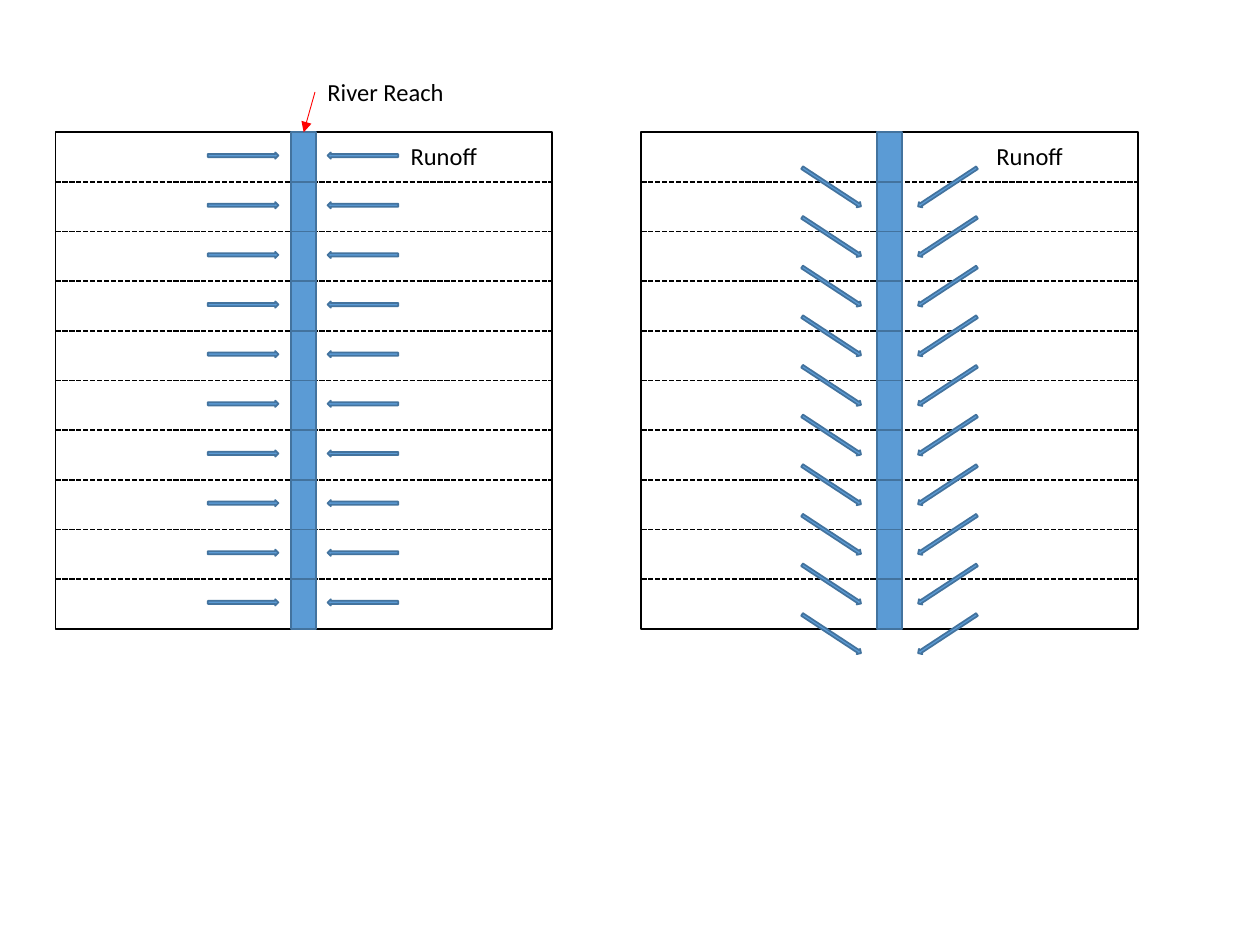
from dataclasses import dataclass

from lxml import etree
from pptx import Presentation
from pptx.dml.color import RGBColor
from pptx.enum.dml import MSO_LINE
from pptx.enum.shapes import MSO_CONNECTOR, MSO_SHAPE
from pptx.enum.text import MSO_AUTO_SIZE
from pptx.oxml.ns import qn
from pptx.util import Inches, Pt

RECT = MSO_SHAPE.RECTANGLE
ARROW = MSO_SHAPE.RIGHT_ARROW
STRAIGHT = MSO_CONNECTOR.STRAIGHT
DASH = MSO_LINE.SQUARE_DOT
FIT = MSO_AUTO_SIZE.SHAPE_TO_FIT_TEXT

BLACK = RGBColor(0x00, 0x00, 0x00)
BLUE = RGBColor(0x5B, 0x9B, 0xD5)
NAVY = RGBColor(0x43, 0x73, 0x9E)
RED = RGBColor(0xFF, 0x00, 0x00)

TOP = 1.05
SIDE = 3.94
ROWS = 10
STEP = SIDE / ROWS


@dataclass
class Basin:
    left: float
    west: float
    east: float
    drop: float
    tilt: float


BASINS = [
    Basin(left=0.44, west=1.65, east=2.6, drop=0.16, tilt=0),
    Basin(left=5.09, west=6.32, east=7.24, drop=0.41, tilt=33.3),
]

deck = Presentation()
deck.slide_width = Inches(10)
deck.slide_height = Inches(7.5)
slide = deck.slides.add_slide(deck.slide_layouts[6])
shapes = slide.shapes


def add_box(kind: int, left: float, top: float, width: float, height: float,
            edge: RGBColor, fill: RGBColor | None = None, turn: float = 0) -> None:
    box = shapes.add_shape(kind, Inches(left), Inches(top),
                           Inches(width), Inches(height))
    box.shadow.inherit = False
    box.rotation = turn
    box.line.color.rgb = edge
    box.line.width = Pt(1)
    if fill is None:
        box.fill.background()
    else:
        box.fill.solid()
        box.fill.fore_color.rgb = fill


def add_line(x1: float, y1: float, x2: float, y2: float, color: RGBColor,
             width: float, dash: int | None = None, head: bool = False) -> None:
    link = shapes.add_connector(STRAIGHT, Inches(x1), Inches(y1),
                                Inches(x2), Inches(y2))
    link.line.color.rgb = color
    link.line.width = Pt(width)
    if dash is not None:
        link.line.dash_style = dash
    if head:
        tip = etree.SubElement(link.line._get_or_add_ln(), qn("a:tailEnd"))
        tip.set("type", "triangle")
    etree.SubElement(link._element.spPr, qn("a:effectLst"))


def add_label(text: str, left: float, top: float, width: float,
              wrap: bool = True) -> None:
    frame = shapes.add_textbox(Inches(left), Inches(top),
                               Inches(width), Inches(0.34)).text_frame
    frame.word_wrap = wrap
    frame.auto_size = FIT
    frame.text = text
    font = frame.paragraphs[0].runs[0].font
    font.name = "Calibri"
    font.size = Pt(14)
    font.color.rgb = BLACK


def add_basin(basin: Basin) -> None:
    add_box(RECT, basin.left, TOP, SIDE, SIDE, BLACK)
    for row in range(1, ROWS):
        level = TOP + row * STEP
        add_line(basin.left, level, basin.left + SIDE, level, BLACK, 1, DASH)
    for row in range(ROWS):
        level = TOP + row * STEP
        add_box(RECT, basin.left + 1.87, level, 0.2, STEP, NAVY, BLUE)
        flows = [(basin.west, basin.tilt), (basin.east, 180 - basin.tilt)]
        for left, turn in flows:
            add_box(ARROW, left, level + basin.drop, 0.56, 0.05,
                    NAVY, BLUE, turn)
    add_label("Runoff", basin.left + 2.72, 1.07, 0.85)


for basin in BASINS:
    add_basin(basin)
add_label("River Reach", 2.5, 0.56, 1.13, wrap=False)
add_line(2.5, 0.73, 2.41, TOP, RED, 0.5, head=True)

deck.save("out.pptx")
